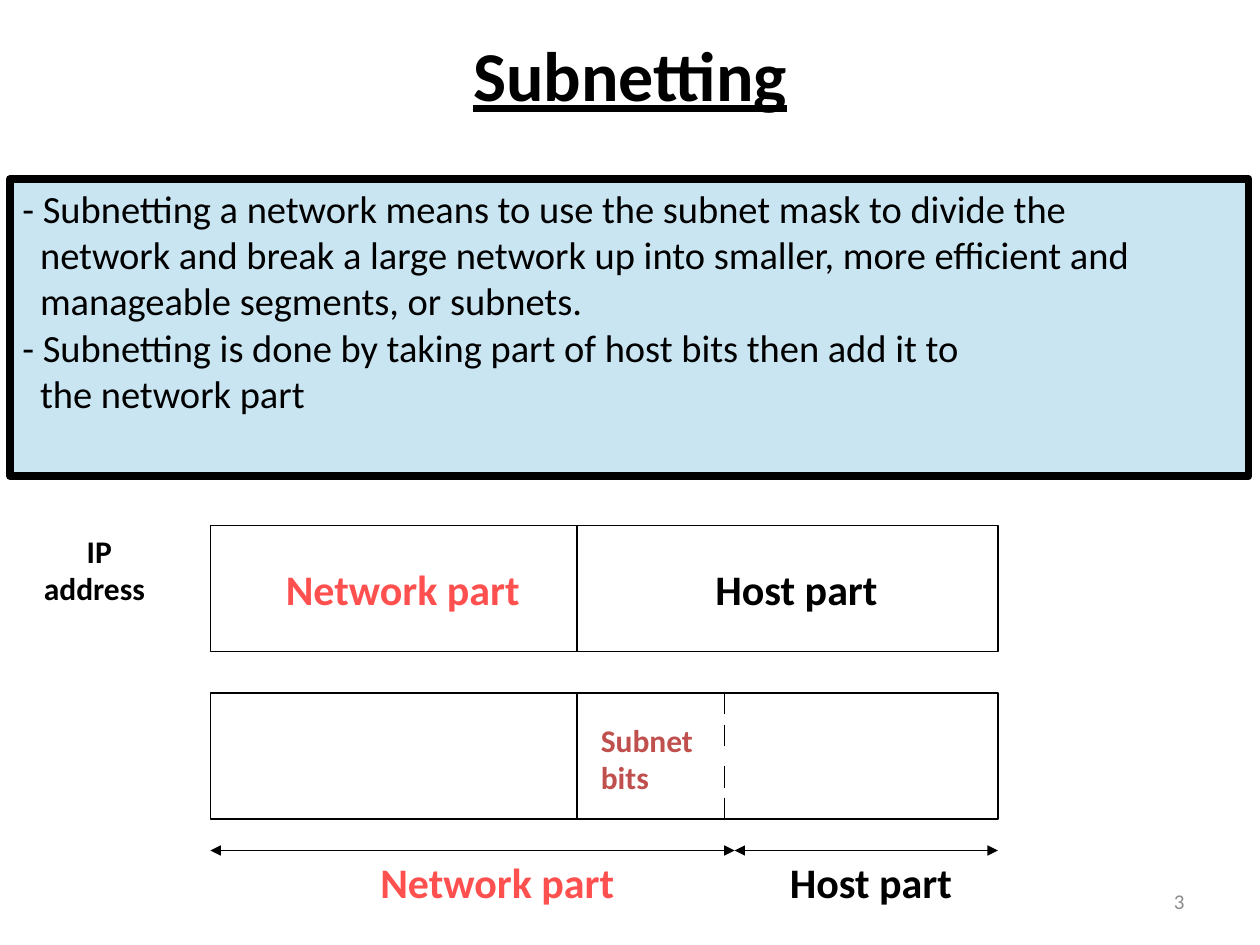
"""Build a slide that explains subnetting with two address bars."""
from lxml import etree
from pptx import Presentation
from pptx.dml.color import RGBColor
from pptx.enum.shapes import MSO_CONNECTOR, MSO_SHAPE
from pptx.enum.text import MSO_ANCHOR, PP_ALIGN
from pptx.oxml.ns import qn
from pptx.util import Inches, Pt

LEFT, CENTER, RIGHT = PP_ALIGN.LEFT, PP_ALIGN.CENTER, PP_ALIGN.RIGHT
TOP, MIDDLE = MSO_ANCHOR.TOP, MSO_ANCHOR.MIDDLE
RECTANGLE, STRAIGHT = MSO_SHAPE.RECTANGLE, MSO_CONNECTOR.STRAIGHT

FONT = "Calibri"
COLORS = {"ink": "000000", "panel": "CAE5F2", "network": "FF5050",
          "subnet": "C0504D", "number": "8C8C8C"}

POINTS = [
    "- Subnetting a network means to use the subnet mask to divide the\v"
    "network and break a large network up into smaller, more efficient and\v"
    "manageable segments, or subnets.",
    "- Subnetting is done by taking part of host bits then add it to\v"
    "the network part",
]
PANEL = (0.08, 1.42, 9.83, 2.36)
HANG = 0.14

BAR_LEFT, BAR_WIDTH, BAR_HEIGHT = 1.67, 6.25, 1
BAR_RIGHT = BAR_LEFT + BAR_WIDTH
BAR_TOPS = (4.17, 5.5)
HOST_START, SUBNET_END, ARROW_SPLIT = 4.58, 5.75, 5.83
DASH_OFFSETS, DASH_LENGTH = (0, 0.25, 0.58, 0.83), 0.17
ARROW_Y = 6.75

BOLD = {"bold": True}
TITLE = {"bold": True, "underline": True}
LABELS = [
    ("Subnetting", (0, 0, 10, 1.17), 40, "ink", TITLE, CENTER, MIDDLE, 0),
    ("Network part", (2.17, 4.42, 2.33, 0.5), 24, "network", BOLD, LEFT, TOP, 0),
    ("Host part", (5.58, 4.42, 2.33, 0.5), 24, "ink", BOLD, LEFT, TOP, 0),
    ("Subnet bits", (4.67, 5.67, 1.17, 0.7), 18, "subnet", BOLD, LEFT, TOP, 0),
    ("Network part", (2.92, 6.75, 2.33, 0.5), 24, "network", BOLD, LEFT, TOP, 0),
    ("Host part", (6.17, 6.75, 2.33, 0.5), 24, "ink", BOLD, LEFT, TOP, 0),
    ("IP address", (0.25, 4.17, 1.33, 0.7), 18, "ink", BOLD, LEFT, TOP, 0.34),
    ("3", (7.17, 6.95, 2.33, 0.4), 12, "number", {}, RIGHT, MIDDLE, 0),
]


def color(name):
    return RGBColor.from_string(COLORS[name])


def write(shape, texts, size, ink, style, align, anchor, margin=0, indent=0):
    frame = shape.text_frame
    frame.word_wrap = True
    frame.vertical_anchor = anchor
    for index, text in enumerate(texts):
        para = frame.add_paragraph() if index else frame.paragraphs[0]
        para.text = text
        para.alignment = align
        properties = para._p.get_or_add_pPr()
        properties.set("marL", str(Inches(margin)))
        properties.set("indent", str(Inches(indent)))
        for span in para.runs:
            span.font.color.rgb = color(ink)
            for name, value in {"name": FONT, "size": Pt(size), **style}.items():
                setattr(span.font, name, value)


def add_rectangle(page, place, weight, fill=None):
    shape = page.shapes.add_shape(RECTANGLE, *map(Inches, place))
    shape.shadow.inherit = False
    if fill:
        shape.fill.solid()
        shape.fill.fore_color.rgb = color(fill)
    else:
        shape.fill.background()
    shape.line.color.rgb = color("ink")
    shape.line.width = Pt(weight)
    return shape


def add_line(page, start, end, arrows=False):
    line = page.shapes.add_connector(STRAIGHT, *map(Inches, start + end))
    line.line.color.rgb = color("ink")
    line.line.width = Pt(0.75)
    if arrows:
        for tag in ("a:headEnd", "a:tailEnd"):
            etree.SubElement(line.line._ln, qn(tag), type="triangle")
    etree.SubElement(line._element.spPr, qn("a:effectLst"))


deck = Presentation()
deck.slide_width, deck.slide_height = Inches(10), Inches(7.5)
page = deck.slides.add_slide(deck.slide_layouts[6])

panel = add_rectangle(page, PANEL, 4.5, "panel")
write(panel, POINTS, 22, "ink", {}, LEFT, TOP, HANG, -HANG)

for top in BAR_TOPS:
    add_rectangle(page, (BAR_LEFT, top, BAR_WIDTH, BAR_HEIGHT), 0.75)
    add_line(page, (HOST_START, top), (HOST_START, top + BAR_HEIGHT))

for offset in DASH_OFFSETS:
    dash_top = BAR_TOPS[1] + offset
    add_line(page, (SUBNET_END, dash_top), (SUBNET_END, dash_top + DASH_LENGTH))

for start, end in ((BAR_LEFT, ARROW_SPLIT), (ARROW_SPLIT, BAR_RIGHT)):
    add_line(page, (start, ARROW_Y), (end, ARROW_Y), arrows=True)

for text, place, size, ink, style, align, anchor, indent in LABELS:
    box = page.shapes.add_textbox(*map(Inches, place))
    write(box, [text], size, ink, style, align, anchor, indent=indent)

deck.save("out.pptx")
